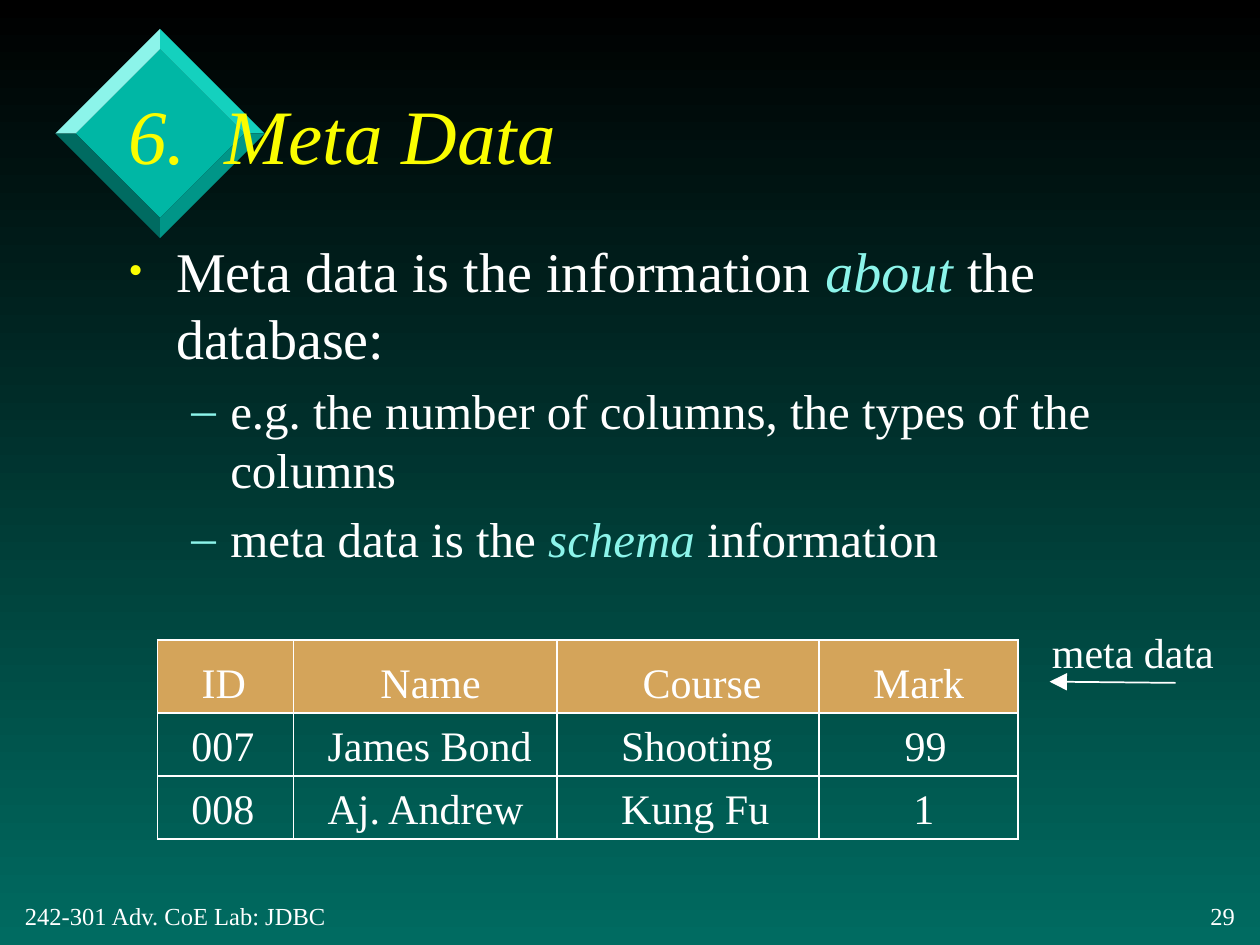
from lxml.etree import SubElement
from pptx import Presentation
from pptx.dml.color import RGBColor
from pptx.enum.shapes import MSO_CONNECTOR as Connector
from pptx.enum.text import MSO_ANCHOR as Anchor, PP_ALIGN as Align
from pptx.oxml import parse_xml
from pptx.oxml.ns import nsdecls, qn
from pptx.util import Inches, Pt

COLORS = {
    "black": "000000", "white": "FFFFFF", "yellow": "FAFD00",
    "deep": "006B61", "shade": "009688", "face": "00B7A5",
    "bright": "14D1BE", "pale": "8CF4EA", "header": "D4A45A",
}
FONT = "Times New Roman"
COLUMN_WIDTHS = [1.08, 2.09, 2.08, 1.58]
ROW_HEIGHTS = [0.58, 0.5, 0.5]
RECORDS = [
    [("ID", 0.35), ("Name", 0.69), ("Course", 0.68), ("Mark", 0.43)],
    [("007", 0.27), ("James Bond", 0.27), ("Shooting", 0.51), ("99", 0.68)],
    [("008", 0.27), ("Aj. Andrew", 0.27), ("Kung Fu", 0.51), ("1", 0.75)],
]
POINTS = [
    (0, [("Meta data is the information ", False), ("about", True), (" the database:", False)]),
    (1, [("e.g. the number of columns, the types of the columns", False)]),
    (1, [("meta data is the ", False), ("schema", True), (" information", False)]),
]
LEVELS = [
    {"size": 32, "left": 0.38, "hang": 0.38, "mark": "•", "color": "yellow", "scale": 75},
    {"size": 28, "left": 0.81, "hang": 0.31, "mark": "–", "color": "pale", "scale": 100},
]


def rgb(name):
    """Return the palette colour of that name."""
    return RGBColor.from_string(COLORS[name])


def write(paragraph, text, size=24, color="white", italic=False, align=None):
    """Append formatted text to a paragraph."""
    run = paragraph.add_run()
    run.text = text
    run.font.name, run.font.size = FONT, Pt(size)
    run.font.color.rgb, run.font.italic = rgb(color), italic
    if align is not None:
        paragraph.alignment = align


def add_frame(slide, place, anchor=Anchor.TOP):
    """Add a wrapping text box and return its text frame."""
    frame = slide.shapes.add_textbox(*map(Inches, place)).text_frame
    frame.word_wrap, frame.vertical_anchor = True, anchor
    return frame


def add_label(slide, text, place, anchor=Anchor.MIDDLE, **style):
    """Add a text box that holds one line."""
    write(add_frame(slide, place, anchor).paragraphs[0], text, **style)


def add_polygon(slide, points, color):
    """Add a closed outline with a plain fill."""
    corners = [(Inches(x), Inches(y)) for x, y in points]
    builder = slide.shapes.build_freeform(*corners[0])
    builder.add_line_segments(corners[1:], close=True)
    polygon = builder.convert_to_shape()
    polygon.shadow.inherit = False
    polygon.fill.solid()
    polygon.fill.fore_color.rgb = rgb(color)
    polygon.line.fill.background()


def add_diamond(slide, x=1.27, y=1.06, inner=0.67, outer=0.83):
    """Add the bevelled diamond: a face and four edges."""
    directions = [(0, -1), (1, 0), (0, 1), (-1, 0)]

    def ring(radius):
        """Return the four corners at that distance from the centre."""
        return [(x + dx * radius, y + dy * radius) for dx, dy in directions]

    inside, outside = ring(inner), ring(outer)
    add_polygon(slide, inside, "face")
    for side, color in enumerate(["bright", "shade", "deep", "pale"]):
        after = (side + 1) % 4
        edge = [inside[side], outside[side], outside[after], inside[after]]
        add_polygon(slide, edge, color)


def set_bullet(paragraph, level):
    """Give a paragraph the indent and bullet of its level."""
    props = paragraph._p.get_or_add_pPr()
    props.set("marL", str(Inches(level["left"])))
    props.set("indent", str(-Inches(level["hang"])))
    tint = SubElement(props, qn("a:buClr"))
    SubElement(tint, qn("a:srgbClr"), val=COLORS[level["color"]])
    SubElement(props, qn("a:buSzPct"), val=str(level["scale"] * 1000))
    SubElement(props, qn("a:buFont"), typeface=FONT)
    SubElement(props, qn("a:buChar"), char=level["mark"])


def add_points(slide):
    """Add the bulleted text with its accented words."""
    frame = add_frame(slide, (0.92, 1.83, 8.5, 4.5))
    for index, (depth, parts) in enumerate(POINTS):
        paragraph = frame.add_paragraph() if index else frame.paragraphs[0]
        level = LEVELS[depth]
        paragraph.level = depth
        paragraph.space_before = Pt(level["size"] * 0.2)
        set_bullet(paragraph, level)
        for text, accent in parts:
            write(paragraph, text, size=level["size"], italic=accent,
                  color="pale" if accent else "white")


def set_borders(cell):
    """Draw a thin white line on each side of a cell."""
    props = cell._tc.get_or_add_tcPr()
    for index, side in enumerate("LRTB"):
        props.insert(index, parse_xml(
            f'<a:ln{side} {nsdecls("a")} w="{Pt(1)}"><a:solidFill>'
            f'<a:srgbClr val="{COLORS["white"]}"/></a:solidFill></a:ln{side}>'))


def add_records(slide):
    """Add the table of students with its header row."""
    place = (1.25, 5.08, sum(COLUMN_WIDTHS), sum(ROW_HEIGHTS))
    table = slide.shapes.add_table(
        len(RECORDS), len(COLUMN_WIDTHS), *map(Inches, place)).table
    table.first_row = table.horz_banding = False
    for column, width in zip(table.columns, COLUMN_WIDTHS):
        column.width = Inches(width)
    for r, record in enumerate(RECORDS):
        table.rows[r].height = Inches(ROW_HEIGHTS[r])
        for c, (text, indent) in enumerate(record):
            cell = table.cell(r, c)
            cell.margin_left, cell.margin_right = Inches(indent), 0
            cell.margin_top = Inches(0.09 if r else 0.17)
            cell.margin_bottom = 0
            if r:
                cell.fill.background()
            else:
                cell.fill.solid()
                cell.fill.fore_color.rgb = rgb("header")
            set_borders(cell)
            write(cell.text_frame.paragraphs[0], text)


def add_arrow(slide, start, end):
    """Add a white line with an arrowhead at its start."""
    arrow = slide.shapes.add_connector(
        Connector.STRAIGHT, *map(Inches, (*start, *end)))
    arrow.line.color.rgb, arrow.line.width = rgb("white"), Pt(1)
    SubElement(arrow.line._get_or_add_ln(), qn("a:headEnd"),
               type="triangle", w="lg", len="lg")
    SubElement(arrow._element.spPr, qn("a:effectLst"))


def set_background(slide):
    """Fill the background from black down to deep green."""
    fill = slide.background.fill
    fill.gradient()
    fill.gradient_angle = 270
    for stop, color in zip(fill.gradient_stops, ["black", "deep"]):
        stop.color.rgb = rgb(color)


def main():
    """Build the slide and save it."""
    deck = Presentation()
    deck.slide_width, deck.slide_height = Inches(10), Inches(7.5)
    slide = deck.slides.add_slide(deck.slide_layouts[6])
    set_background(slide)
    add_diamond(slide)
    add_label(slide, "242-301 Adv. CoE Lab: JDBC", (0.1, 7.1, 2.8, 0.33), size=14)
    add_label(slide, "29", (9.4, 7.1, 0.5, 0.33), size=14, align=Align.RIGHT)
    add_label(slide, "6.  Meta Data", (0.92, 0.46, 8.51, 1.21),
              size=44, color="yellow", italic=True)
    add_points(slide)
    add_records(slide)
    add_arrow(slide, (8.33, 5.41), (9.33, 5.42))
    add_label(slide, "meta data", (8.25, 4.92, 1.65, 0.5), anchor=Anchor.TOP)
    deck.save("out.pptx")


if __name__ == "__main__":
    main()
